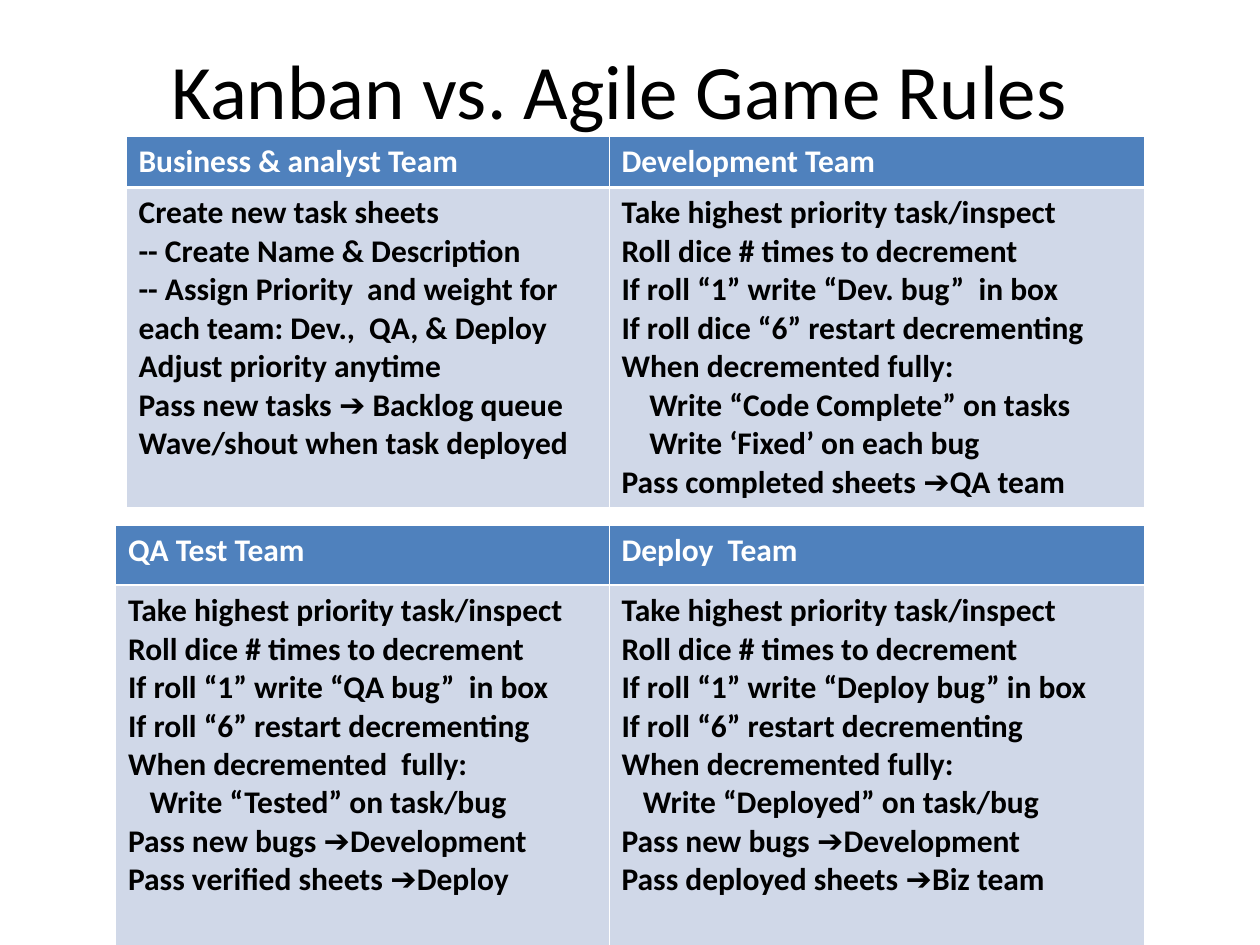
from lxml import etree
from pptx import Presentation
from pptx import util as u
from pptx.dml.color import RGBColor
from pptx.enum import text
from pptx.oxml import ns

COLORS = {"header": "4F81BD", "body": "D0D8E8", "light": "FFFFFF", "dark": "000000"}
FONT = "Calibri"
ARROW = "➔"
ARROW_FONT = "Arial"
INDENT_MARK = ">"

presentation = Presentation()
presentation.slide_width = u.Inches(10)
presentation.slide_height = u.Inches(7.5)
unit = presentation.slide_width / 120
slide = presentation.slides.add_slide(presentation.slide_layouts[5])


def write_line(paragraph, line, size, color, bold):
    before, arrow, after = line.partition(ARROW)
    for part in filter(None, (before, arrow, after)):
        run = paragraph.add_run()
        run.text = part
        run.font.name = ARROW_FONT if part == ARROW else FONT
        run.font.size = u.Pt(size)
        run.font.bold = bold
        run.font.color.rgb = RGBColor.from_string(COLORS[color])


def add_border(cell, index, side, width):
    line = etree.Element(ns.qn(f"a:ln{side}"), w=str(u.Pt(width)))
    fill = etree.SubElement(line, ns.qn("a:solidFill"))
    etree.SubElement(fill, ns.qn("a:srgbClr"), val=COLORS["light"])
    cell._tc.get_or_add_tcPr().insert(index, line)


title = slide.shapes.title
title.left, title.top, title.width, title.height = [round(n * unit) for n in (13, 3.95, 92, 9)]
title.text_frame.vertical_anchor = text.MSO_ANCHOR.MIDDLE
title_paragraph = title.text_frame.paragraphs[0]
title_paragraph.alignment = text.PP_ALIGN.CENTER
write_line(title_paragraph, "Kanban vs. Agile Game Rules", 44, "dark", False)

middle, right = 58, 109
tables = [
    {
        "left": 12,
        "top": 13,
        "rows": (4.85, 30.5),
        "indent": 0.22,
        "teams": {
            "Business & analyst Team": [
                "Create new task sheets",
                "-- Create Name & Description",
                "-- Assign Priority  and weight for each team: Dev.,  QA, & Deploy",
                "Adjust priority anytime",
                "Pass new tasks ➔ Backlog queue",
                "Wave/shout when task deployed",
            ],
            "Development Team": [
                "Take highest priority task/inspect",
                "Roll dice # times to decrement",
                "If roll “1” write “Dev. bug”  in box",
                "If roll dice “6” restart decrementing",
                "When decremented fully:",
                ">Write “Code Complete” on tasks",
                ">Write ‘Fixed’ on each bug",
                "Pass completed sheets ➔QA team",
            ],
        },
    },
    {
        "left": 11,
        "top": 50,
        "rows": (5.75, 34.25),
        "indent": 0.17,
        "teams": {
            "QA Test Team": [
                "Take highest priority task/inspect",
                "Roll dice # times to decrement",
                "If roll “1” write “QA bug”  in box",
                "If roll “6” restart decrementing",
                "When decremented  fully:",
                ">Write “Tested” on task/bug",
                "Pass new bugs ➔Development",
                "Pass verified sheets ➔Deploy",
            ],
            "Deploy  Team": [
                "Take highest priority task/inspect",
                "Roll dice # times to decrement",
                "If roll “1” write “Deploy bug” in box",
                "If roll “6” restart decrementing",
                "When decremented fully:",
                ">Write “Deployed” on task/bug",
                "Pass new bugs ➔Development",
                "Pass deployed sheets ➔Biz team",
            ],
        },
    },
]

for rules in tables:
    left, top, rows = rules["left"], rules["top"], rules["rows"]
    frame = [round(n * unit) for n in (left, top, right - left, sum(rows))]
    table = slide.shapes.add_table(2, 2, *frame).table
    for column, width in zip(table.columns, (middle - left, right - middle)):
        column.width = round(width * unit)
    for row, height in zip(table.rows, rows):
        row.height = round(height * unit)

    for column_index, (team, steps) in enumerate(rules["teams"].items()):
        for row_index, lines in enumerate(([team], steps)):
            is_header = row_index == 0
            cell = table.cell(row_index, column_index)
            cell.fill.solid()
            cell.fill.fore_color.rgb = RGBColor.from_string(COLORS["header" if is_header else "body"])
            thick_side = "B" if is_header else "T"
            for index, side in enumerate("LRTB"):
                add_border(cell, index, side, 1.47 if side == thick_side else 0.45)

            for line_index, line in enumerate(lines):
                frame_text = cell.text_frame
                paragraph = frame_text.add_paragraph() if line_index else frame_text.paragraphs[0]
                if line.startswith(INDENT_MARK):
                    properties = paragraph._p.get_or_add_pPr()
                    properties.set("marL", str(u.Inches(rules["indent"])))
                write_line(paragraph, line.lstrip(INDENT_MARK), 18, "light" if is_header else "dark", True)

presentation.save("out.pptx")
